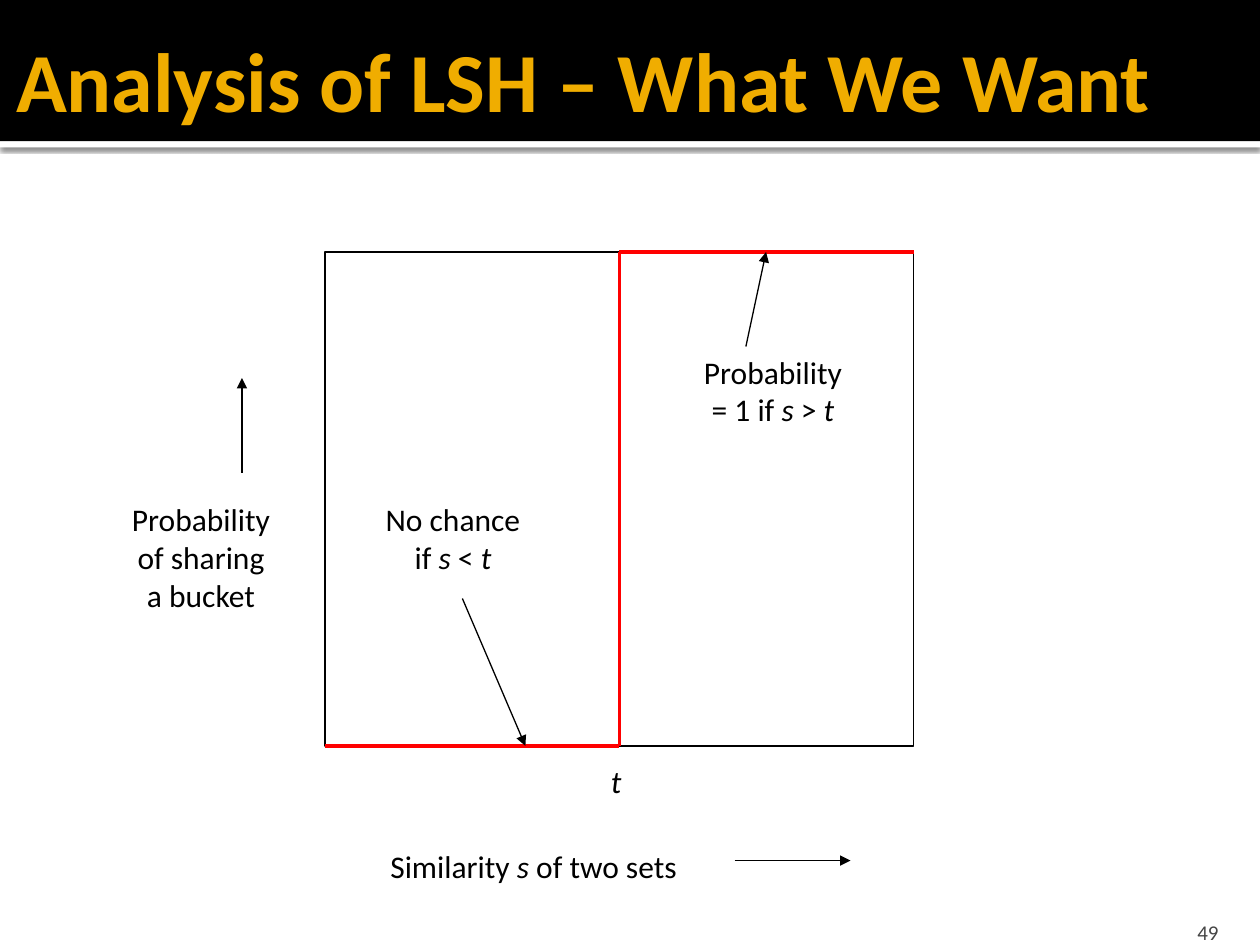
from lxml import etree
from pptx import Presentation
from pptx.dml.color import RGBColor
from pptx.enum.shapes import MSO_CONNECTOR, MSO_SHAPE
from pptx.enum.text import MSO_ANCHOR, PP_ALIGN
from pptx.oxml import parse_xml
from pptx.oxml.ns import nsdecls, qn
from pptx.util import Inches, Pt

RECT = MSO_SHAPE.RECTANGLE
STRAIGHT = MSO_CONNECTOR.STRAIGHT
TOP, MIDDLE, BOTTOM = MSO_ANCHOR.TOP, MSO_ANCHOR.MIDDLE, MSO_ANCHOR.BOTTOM
LEFT, CENTER, RIGHT = PP_ALIGN.LEFT, PP_ALIGN.CENTER, PP_ALIGN.RIGHT

COLORS = {
    "black": "000000",
    "white": "FFFFFF",
    "gold": "F0AD00",
    "gray": "454545",
    "red": "FF0000",
}
COLORS = {name: RGBColor.from_string(value) for name, value in COLORS.items()}

prs = Presentation()
prs.slide_width, prs.slide_height = Inches(10), Inches(7.5)
s = prs.slides.add_slide(prs.slide_layouts[6])


def add_text(box, lines, size=18, color="black", align=CENTER, anchor=TOP,
             bold=False, wrap=False, insets=(0.1, 0.05, 0.1, 0.05)):
    tf = s.shapes.add_textbox(*map(Inches, box)).text_frame
    tf.word_wrap = wrap
    tf.vertical_anchor = anchor
    tf.margin_left, tf.margin_top, tf.margin_right, tf.margin_bottom = map(Inches, insets)
    for i, line in enumerate(lines):
        p = tf.add_paragraph() if i else tf.paragraphs[0]
        p.alignment = align
        for j, part in enumerate(line.split("*")):
            if part:
                r = p.add_run()
                r.text = part
                r.font.name = "Calibri"
                r.font.size = Pt(size)
                r.font.bold = bold
                r.font.italic = j % 2 == 1
                r.font.color.rgb = COLORS[color]


def add_line(start, end, color="black", width=0.75, arrow=False):
    cx = s.shapes.add_connector(STRAIGHT, *map(Inches, start + end))
    cx.line.color.rgb = COLORS[color]
    cx.line.width = Pt(width)
    if arrow:
        etree.SubElement(cx.line._get_or_add_ln(), qn("a:tailEnd"), type="triangle")
    etree.SubElement(cx._element.spPr, qn("a:effectLst"))
    return cx


for top, height, color in [(1.12, 0.05, "white"), (0, 1.12, "black")]:
    sp = s.shapes.add_shape(RECT, 0, Inches(top), Inches(10), Inches(height))
    sp.shadow.inherit = False
    sp.fill.solid()
    sp.fill.fore_color.rgb = COLORS[color]
    sp.line.fill.background()
    if color == "white":
        sp._element.spPr.find(qn("a:effectLst")).append(parse_xml(
            f'<a:outerShdw {nsdecls("a")} blurRad="31750" dist="10160" dir="5400000">'
            '<a:srgbClr val="000000"><a:alpha val="60000"/></a:srgbClr></a:outerShdw>'))

add_text((8.97, 7.2, 0.8, 0.3), ["49"], 12, "gray", RIGHT, BOTTOM,
         wrap=True, insets=(0.1, 0.05, 0.1, 0))
add_text((0.03, 0, 10, 1.25), ["Analysis of LSH – What We Want"], 48, "gold", LEFT,
         MIDDLE, bold=True, wrap=True, insets=(0.1, 0.05, 0.05, 0.05))

x0, x1, y0, y1 = 2.58, 7.25, 2, 5.92
xt = (x0 + x1) / 2
plot = s.shapes.add_shape(RECT, *map(Inches, (x0, y0, x1 - x0, y1 - y0)))
plot.shadow.inherit = False
plot.fill.background()
plot.line.color.rgb = COLORS["black"]
plot.line.width = Pt(0.75)

low = add_line((x0, y1), (xt, y1), "red", 2)
low.end_connect(plot, 2)
step = add_line((xt, y1), (xt, y0), "red", 2)
step.begin_connect(plot, 2)
step.end_connect(plot, 0)
high = add_line((xt, y0), (x1, y0), "red", 2)
high.begin_connect(plot, 0)

labels = [
    ((2.97, 6.67, 2.53, 0.4), ["Similarity *s* of two sets"]),
    ((0.92, 3.92, 1.35, 1), ["Probability", "of sharing", "a bucket"]),
    ((4.75, 6, 0.28, 0.4), ["*t*"]),
    ((2.92, 3.92, 1.35, 0.7), ["No chance", "if *s* < *t*"]),
    ((5.42, 2.75, 1.43, 0.7), ["Probability", "= 1 if *s* > *t*"]),
]
for box, lines in labels:
    add_text(box, lines)

arrows = [
    ((5.83, 6.83), (6.75, 6.83)),
    ((1.92, 3.75), (1.92, 3)),
    ((3.67, 4.75), (4.17, y1)),
    ((5.92, 2.75), (6.08, y0)),
]
for start, end in arrows:
    add_line(start, end, arrow=True)

prs.save("out.pptx")
